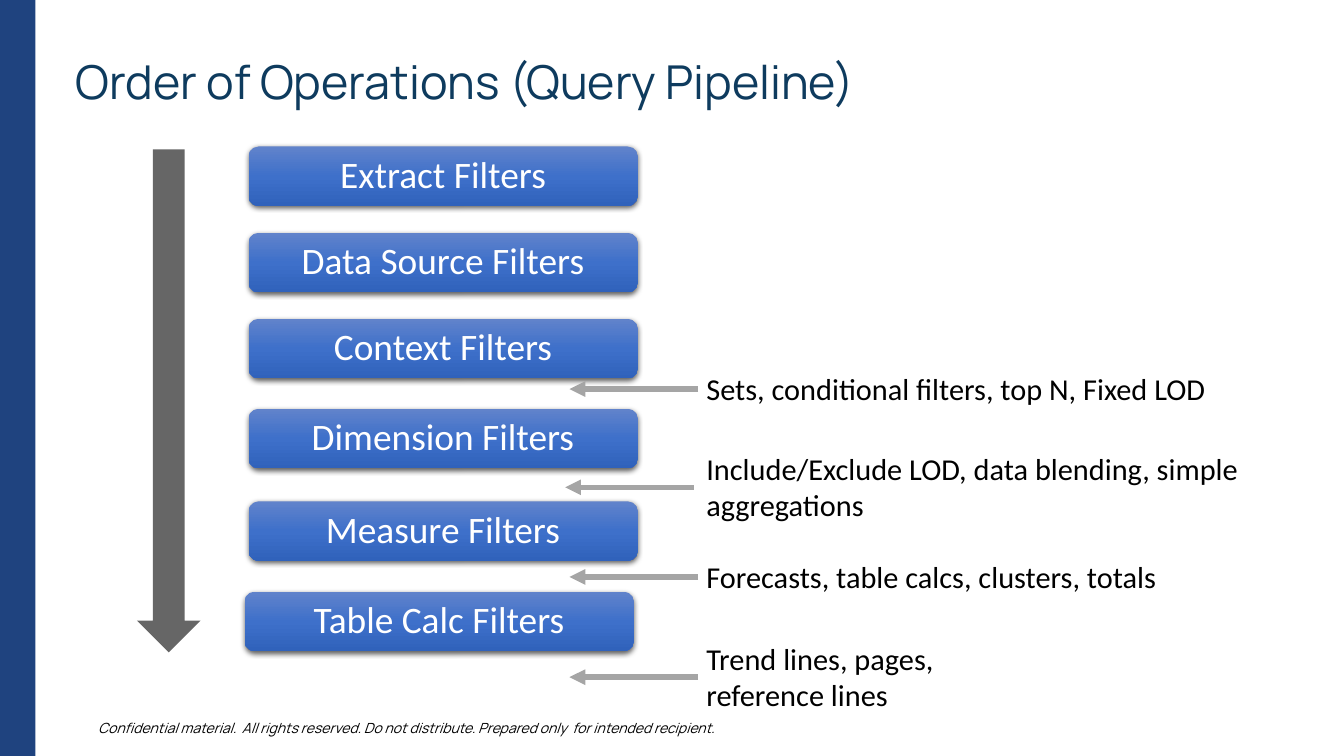
from lxml.etree import SubElement
from pptx import Presentation
from pptx.dml.color import RGBColor
from pptx.enum.shapes import MSO_CONNECTOR, MSO_SHAPE
from pptx.enum.text import MSO_ANCHOR, PP_ALIGN
from pptx.oxml import parse_xml
from pptx.oxml.ns import nsdecls, qn
from pptx.util import Cm, Pt

NAVY = RGBColor(0x1F, 0x43, 0x7F)
TITLE_BLUE = RGBColor(0x0E, 0x3B, 0x5E)
DARK_GRAY = RGBColor(0x66, 0x66, 0x66)
ARROW_GRAY = RGBColor(0xA5, 0xA5, 0xA5)
BLACK = RGBColor(0x00, 0x00, 0x00)
WHITE = RGBColor(0xFF, 0xFF, 0xFF)
GRADIENT = [
    (0, RGBColor(0x61, 0x83, 0xCB)),
    (50, RGBColor(0x3E, 0x70, 0xCA)),
    (100, RGBColor(0x30, 0x62, 0xBB)),
]

# Left and top of each filter step, in cm
STEPS = [
    ("Extract Filters", 7.52, 4.43),
    ("Data Source Filters", 7.52, 7.04),
    ("Context Filters", 7.52, 9.64),
    ("Dimension Filters", 7.52, 12.36),
    ("Measure Filters", 7.52, 15.16),
    ("Table Calc Filters", 7.4, 17.89),
]
# Lines of text, top, width and height of the text, right end of its arrow, in cm
NOTES = [
    (["Sets, conditional filters, top N, Fixed LOD"], 11.08, 18.82, 1.37, 21.11),
    (["Include/Exclude LOD, data blending, simple aggregations"], 13.49, 18.82, 2.49, 20.98),
    (["Forecasts, table calcs, clusters, totals"], 16.76, 18.82, 1.37, 21.11),
    (["Trend lines, pages,", "reference lines"], 19.23, 9.53, 2.49, 21.11),
]


def set_font(para, name, size, color):
    para.font.name = name
    para.font.size = Pt(size)
    para.font.color.rgb = color


def add_text(page, lines, left, top, width, height, font):
    box = page.shapes.add_textbox(Cm(left), Cm(top), Cm(width), Cm(height))
    frame = box.text_frame
    frame.word_wrap = True
    frame.text = "\n".join(lines)
    for para in frame.paragraphs:
        set_font(para, *font)
    return frame


def add_solid(page, preset, left, top, width, height, color):
    shape = page.shapes.add_shape(preset, Cm(left), Cm(top), Cm(width), Cm(height))
    shape.shadow.inherit = False
    shape.fill.solid()
    shape.fill.fore_color.rgb = color
    shape.line.fill.background()
    return shape


def add_frame(page, width, height):
    # Side bar
    add_solid(page, MSO_SHAPE.RECTANGLE, 0, 0, 1.07, height, NAVY)
    # Footer
    footer = add_text(
        page,
        ["Confidential material.  All rights reserved. Do not distribute. "
         "Prepared only  for intended recipient."],
        2.72, height - 1.24, 21.41, 0.76, ("Manrope", 12, BLACK))
    footer.paragraphs[0].font.italic = True
    # Title
    title = add_text(page, ["Order of Operations (Query Pipeline)"],
                     2.29, 1.8, width - 4.55, 1.7, ("Manrope", 40, TITLE_BLUE))
    title.margin_left = title.margin_right = 0
    title.margin_top = title.margin_bottom = 0
    title.paragraphs[0].line_spacing = 0.9


def add_step(page, label, left, top, width=11.76, height=1.8):
    step = add_solid(page, MSO_SHAPE.ROUNDED_RECTANGLE, left, top, width, height, NAVY)
    properties = step.element.spPr

    # Vertical three-colour gradient
    stops = "".join(
        f'<a:gs pos="{position * 1000}"><a:srgbClr val="{color}"/></a:gs>'
        for position, color in GRADIENT)
    gradient = parse_xml(
        f'<a:gradFill {nsdecls("a")} rotWithShape="1"><a:gsLst>{stops}</a:gsLst>'
        '<a:lin ang="5400000" scaled="0"/></a:gradFill>')
    properties.replace(properties.find(qn("a:solidFill")), gradient)

    # Soft shadow below
    properties.find(qn("a:effectLst")).append(parse_xml(
        f'<a:outerShdw {nsdecls("a")} blurRad="{Pt(4.5)}" dist="{Pt(1.5)}" '
        'dir="5400000" algn="ctr" rotWithShape="0"><a:srgbClr val="000000">'
        '<a:alpha val="63000"/></a:srgbClr></a:outerShdw>'))

    frame = step.text_frame
    frame.text = label
    frame.vertical_anchor = MSO_ANCHOR.MIDDLE
    para = frame.paragraphs[0]
    para.alignment = PP_ALIGN.CENTER
    para.line_spacing = 0.9
    set_font(para, "Calibri", 32, WHITE)


def add_note(page, lines, left, top, width, height, arrow_right):
    add_text(page, lines, left, top, width, height, ("Calibri", 26, BLACK))
    # Arrow pointing left from the middle of the text
    middle = Cm(top + height / 2)
    arrow = page.shapes.add_connector(
        MSO_CONNECTOR.STRAIGHT, Cm(arrow_right), middle, Cm(arrow_right - 3.89), middle)
    arrow.line.color.rgb = ARROW_GRAY
    arrow.line.width = Pt(4.5)
    SubElement(arrow.line._get_or_add_ln(), qn("a:tailEnd"), type="triangle")
    SubElement(arrow.element.spPr, qn("a:effectLst"))


def add_pipeline(page):
    for label, left, top in STEPS:
        add_step(page, label, left, top)
    # Direction of the pipeline
    add_solid(page, MSO_SHAPE.DOWN_ARROW, 4.14, 4.52, 1.93, 15.21, DARK_GRAY)
    for lines, top, width, height, arrow_right in NOTES:
        add_note(page, lines, 21.11, top, width, height, arrow_right)


def main():
    deck = Presentation()
    width, height = 40.64, 22.86
    deck.slide_width, deck.slide_height = Cm(width), Cm(height)
    page = deck.slides.add_slide(deck.slide_layouts[6])
    add_frame(page, width, height)
    add_pipeline(page)
    deck.save("out.pptx")


if __name__ == "__main__":
    main()
